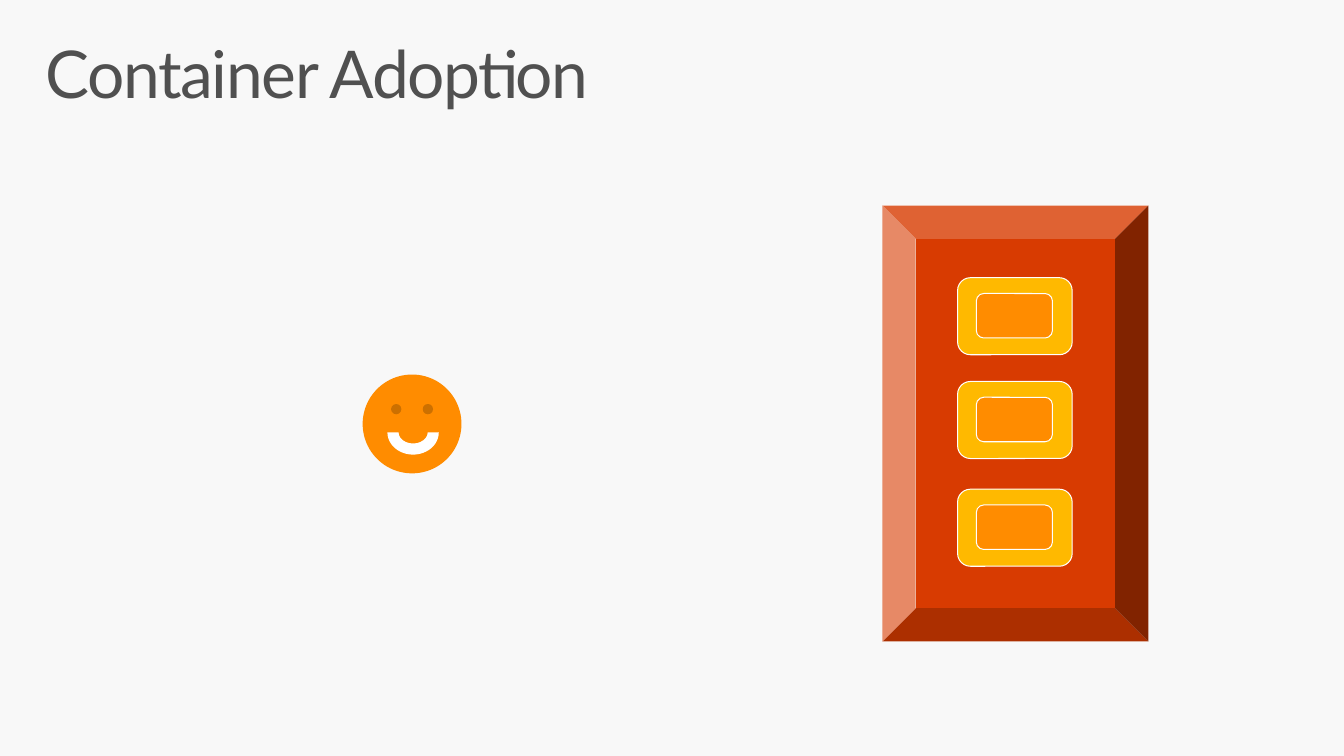
from pptx import Presentation
from pptx.dml.color import RGBColor
from pptx.enum.shapes import MSO_SHAPE
from pptx.enum.text import MSO_ANCHOR, MSO_AUTO_SIZE, PP_ALIGN
from pptx.util import Pt

PX = 9144  # 100 px to the inch
ORANGE, YELLOW, RED, WHITE = "FF8C00", "FFB900", "D83B01", "FFFFFF"


def emu(*lengths):
    return [n * PX for n in lengths]


def rgb(value):
    return RGBColor.from_string(value)


def add_shape(shapes, kind, box, fill, line=None):
    sp = shapes.add_shape(kind, *emu(*box))
    sp.shadow.inherit = False
    sp.fill.solid()
    sp.fill.fore_color.rgb = rgb(fill)
    if line:
        sp.line.color.rgb = rgb(line)
        sp.line.width = Pt(0.75)
    else:
        sp.line.fill.background()
    return sp


def add_title(s, text, box):
    title = s.shapes.title
    title.left, title.top, title.width, title.height = emu(*box)
    tf = title.text_frame
    frame_format = {
        "margin_left": 16 * PX, "margin_right": 16 * PX,
        "margin_top": 10 * PX, "margin_bottom": 10 * PX,
        "vertical_anchor": MSO_ANCHOR.TOP,
        "auto_size": MSO_AUTO_SIZE.NONE, "word_wrap": True,
    }
    for name, value in frame_format.items():
        setattr(tf, name, value)
    p = tf.paragraphs[0]
    p.alignment, p.line_spacing = PP_ALIGN.LEFT, 0.9
    r = p.add_run()
    r.text = text
    r.font.name, r.font.size = "Lato", Pt(48)
    r.font.color.rgb = rgb("505050")
    r.font._element.set("spc", "-100")


def add_smiley(s, x, y, size):
    group = s.shapes.add_group_shape()
    face = add_shape(group.shapes, MSO_SHAPE.SMILEY_FACE, (x, y, size, size), ORANGE)
    face.adjustments[0] = -0.006
    mouth_box = (x + size // 4, y + 36, 52, 45)
    mouth = add_shape(group.shapes, MSO_SHAPE.BLOCK_ARC, mouth_box, WHITE)
    mouth.rotation = 180


def add_container(s, x, y, w, h):
    """Yellow rounded frame with an orange core centred in it."""
    group = s.shapes.add_group_shape()
    core_w, core_h = 77, 45
    core_box = (x + (w - core_w) // 2, y + (h - core_h) // 2, core_w, core_h)
    for box, fill in (((x, y, w, h), YELLOW), (core_box, ORANGE)):
        add_shape(group.shapes, MSO_SHAPE.ROUNDED_RECTANGLE, box, fill, WHITE)


def add_host(s, x, y, w, h):
    """Bevelled host with its three containers."""
    add_shape(s.shapes, MSO_SHAPE.BEVEL, (x, y, w, h), RED)
    for offset in (287, 178, 73):
        add_container(s, x + 76, y + offset, 116, 78)


def main():
    prs = Presentation()
    prs.slide_width, prs.slide_height = emu(1360, 765)
    s = prs.slides.add_slide(prs.slide_layouts[5])
    s.background.fill.solid()
    s.background.fill.fore_color.rgb = rgb("F8F8F8")
    add_title(s, "Container Adoption", (30, 32, 1300, 100))
    add_smiley(s, 367, 379, 100)
    add_host(s, 893, 208, 269, 441)
    prs.save("out.pptx")


if __name__ == "__main__":
    main()
